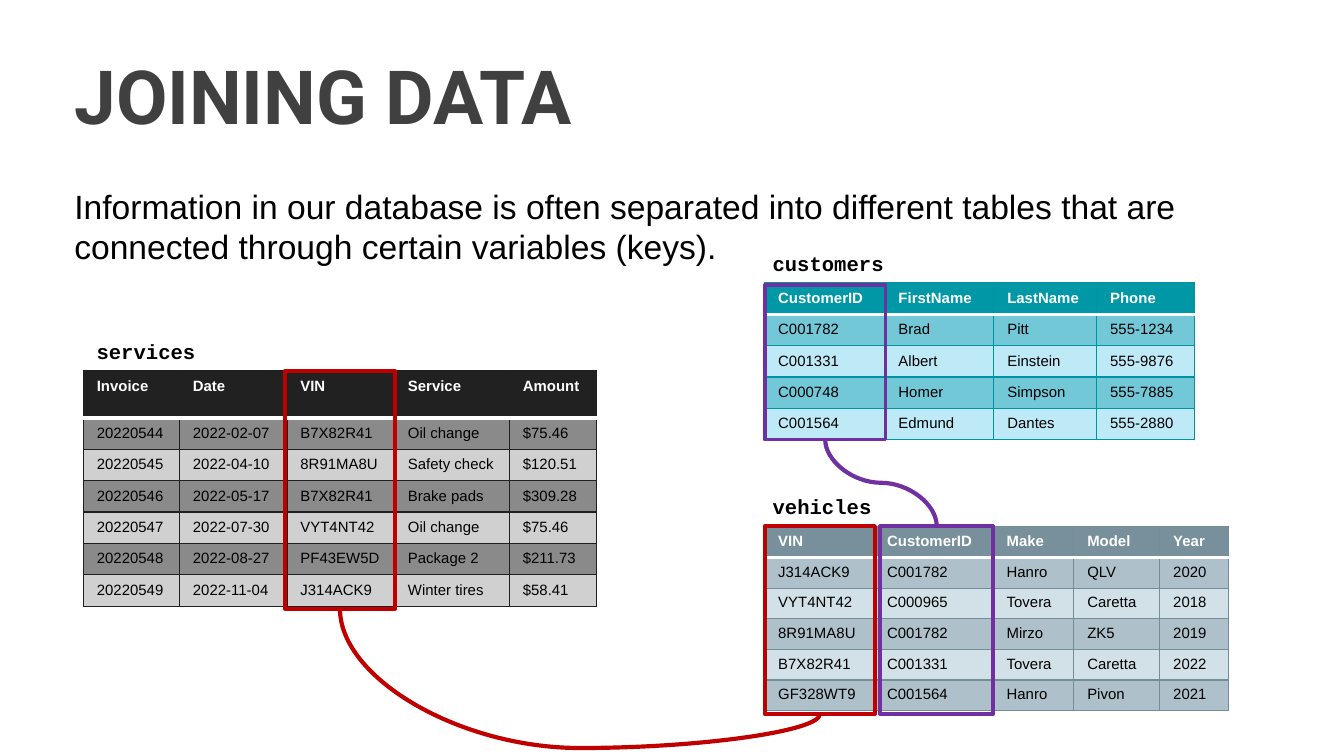
from lxml.etree import SubElement as Sub
from pptx import Presentation
from pptx.dml.color import RGBColor as Rgb
from pptx.enum.shapes import MSO_CONNECTOR as Link, MSO_SHAPE as Form
from pptx.oxml import parse_xml
from pptx.oxml.ns import nsdecls, qn
from pptx.util import Inches, Pt

WIDE = Inches(10)
HIGH = WIDE * 9 // 16
COLS, ROWS = 100, 56.25
HUE = {
    "ink": "000000", "paper": "FFFFFF", "title": "404040",
    "red": "C00000", "plum": "7030A0",
}
SKIN = {
    "services": {"head": "212121", "dark": "8A8A8A", "pale": "D0D0D0", "edge": "202020"},
    "vehicles": {"head": "78909C", "dark": "AEC0C9", "pale": "D2E0E7", "edge": "748D99"},
    "customers": {"head": "0097A7", "dark": "72C8D7", "pale": "BEE9F7", "edge": "0094A3"},
}
DATA = {
    "services": """Invoice|Date|VIN|Service|Amount
20220544|2022-02-07|B7X82R41|Oil change|$75.46
20220545|2022-04-10|8R91MA8U|Safety check|$120.51
20220546|2022-05-17|B7X82R41|Brake pads|$309.28
20220547|2022-07-30|VYT4NT42|Oil change|$75.46
20220548|2022-08-27|PF43EW5D|Package 2|$211.73
20220549|2022-11-04|J314ACK9|Winter tires|$58.41""",
    "vehicles": """VIN|CustomerID|Make|Model|Year
J314ACK9|C001782|Hanro|QLV|2020
VYT4NT42|C000965|Tovera|Caretta|2018
8R91MA8U|C001782|Mirzo|ZK5|2019
B7X82R41|C001331|Tovera|Caretta|2022
GF328WT9|C001564|Hanro|Pivon|2021""",
    "customers": """CustomerID|FirstName|LastName|Phone
C001782|Brad|Pitt|555-1234
C001331|Albert|Einstein|555-9876
C000748|Homer|Simpson|555-7885
C001564|Edmund|Dantes|555-2880""",
}


def col(n):
    """Return the length of n grid columns."""
    return round(WIDE * n / COLS)


def row(n):
    """Return the length of n grid rows."""
    return round(HIGH * n / ROWS)


def area(x, y, w, h):
    """Turn a grid area into slide lengths."""
    return col(x), row(y), col(w), row(h)


def write(frame, text, size=8, font="Arial", hue="ink", bold=False):
    """Put one formatted paragraph in a text frame."""
    run = frame.paragraphs[0].add_run()
    run.text = text
    run.font.size, run.font.name, run.font.bold = Pt(size), font, bold
    run.font.color.rgb = Rgb.from_string(HUE[hue])


def label(slide, spot, text, pad=1, wrap=True, **look):
    """Add a text box."""
    frame = slide.shapes.add_textbox(*area(*spot)).text_frame
    frame.word_wrap = wrap
    frame.margin_top = frame.margin_bottom = row(pad)
    write(frame, text, **look)


def border(cell, side, hue, width):
    """Draw one side of a table cell."""
    props = cell._tc.get_or_add_tcPr()
    line = parse_xml(
        f'<a:ln{side} {nsdecls("a")} w="{Pt(width)}"><a:solidFill>'
        f'<a:srgbClr val="{hue}"/></a:solidFill></a:ln{side}>')
    props.insert("LRTB".index(side), line)


def paint(cell, i, skin):
    """Fill and border a cell by its row number."""
    band = "head" if i == 0 else "dark" if i % 2 else "pale"
    cell.fill.solid()
    cell.fill.fore_color.rgb = Rgb.from_string(skin[band])
    for side in "LRTB":
        seam = (i, side) in ((0, "B"), (1, "T"))
        hue, width = (HUE["paper"], 2) if seam else (skin["edge"], 0.75)
        border(cell, side, hue, width)


def grid(slide, name, x, y, spans, head, body, pad=0.5):
    """Add a data table with a header and banded rows."""
    lines = [line.split("|") for line in DATA[name].splitlines()]
    tall = head + body * (len(lines) - 1)
    spot = area(x, y, sum(spans), tall)
    table = slide.shapes.add_table(len(lines), len(spans), *spot).table
    for part, span in zip(table.columns, spans):
        part.width = col(span)
    for i, line in enumerate(lines):
        table.rows[i].height = row(body if i else head)
        for j, text in enumerate(line):
            cell = table.cell(i, j)
            cell.margin_top = cell.margin_bottom = row(pad)
            look = {} if i else {"hue": "paper", "bold": True}
            write(cell.text_frame, text, **look)
            paint(cell, i, SKIN[name])


def frame(slide, spot, hue):
    """Outline a key column."""
    box = slide.shapes.add_shape(Form.RECTANGLE, *area(*spot))
    box.shadow.inherit = False
    box.fill.background()
    box.line.color.rgb = Rgb.from_string(HUE[hue])
    box.line.width = Pt(2)
    return box


def curve(slide, start, end, hue, bend=0.5):
    """Draw an upright S curve between two points."""
    (ax, ay), (bx, by) = start, end
    mx, my = (ax + bx) // 2, (ay + by) // 2
    dx, dy = (bx - ax) // 2, (by - ay) // 2
    link = slide.shapes.add_connector(Link.CURVE, mx + dy, my - dx, mx - dy, my + dx)
    link.line.color.rgb = Rgb.from_string(HUE[hue])
    link.line.width = Pt(2.25)
    props = link._element.spPr
    props.find(qn("a:xfrm")).set("rot", str(270 * 60000))
    guides = props.find(qn("a:prstGeom")).get_or_add_avLst()
    Sub(guides, qn("a:gd"), name="adj1", fmla=f"val {round(bend * 100000)}")
    Sub(props, qn("a:effectLst"))


def mid(box, low=True):
    """Find the middle of a box's bottom or top side."""
    return box.left + box.width // 2, box.top + box.height * low


def main():
    """Build the slide and save it."""
    deck = Presentation()
    deck.slide_width, deck.slide_height = WIDE, HIGH
    slide = deck.slides.add_slide(deck.slide_layouts[6])
    label(slide, (4.55, 2.7, 68.4, 32.8), "JOINING DATA",
          size=40, font="Roboto", hue="title", bold=True)
    label(slide, (4.55, 12.8, 92.3, 32.1),
          "Information in our database is often separated into different tables "
          "that are connected through certain variables (keys).", size=18)
    grid(slide, "services", 6.2, 27.6, (7.15, 8, 8, 8.55, 6.5), 3.5, 2.32)
    grid(slide, "vehicles", 56.9, 39.2, (8.1, 8.9, 6, 6.4, 5.1), 2.28, 2.28, pad=0.46)
    grid(slide, "customers", 56.9, 21.05, (8.95, 8.1, 7.65, 7.3), 2.32, 2.32)
    for name, x, y, w in (("services", 6.2, 24.75, 9.5),
                          ("customers", 56.5, 18.2, 10.4),
                          ("vehicles", 56.5, 36.3, 9.5)):
        label(slide, (x, y, w, 2.9), name, pad=0.5, wrap=False,
              size=11, font="Courier New", bold=True)
    sold = frame(slide, (21.2, 27.6, 8.2, 17.7), "red")
    car = frame(slide, (56.9, 39.15, 8.2, 14), "red")
    curve(slide, mid(sold), mid(car), "red", bend=1.32)
    owner = frame(slide, (65.5, 39.15, 8.4, 14), "plum")
    buyer = frame(slide, (56.9, 21.2, 9, 11.5), "plum")
    curve(slide, mid(buyer), mid(owner, low=False), "plum")
    deck.save("out.pptx")


if __name__ == "__main__":
    main()
